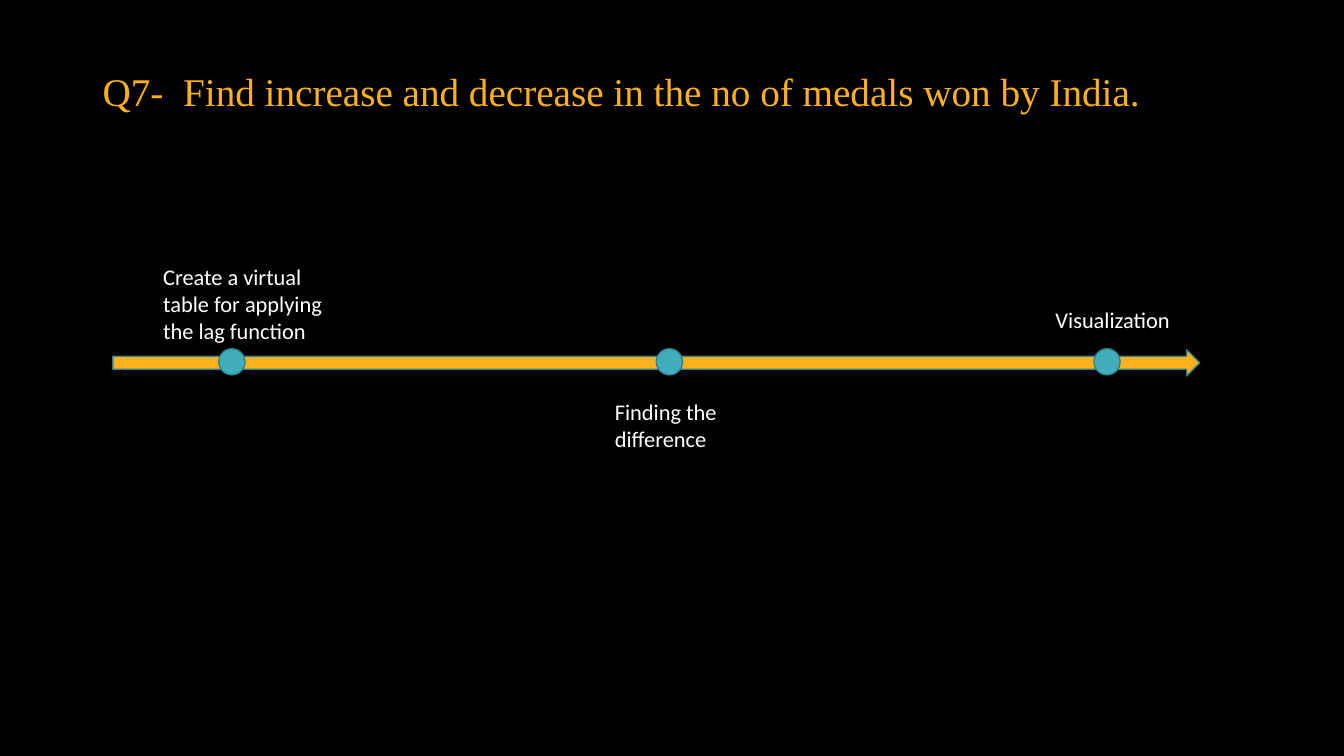
from pptx import Presentation
from pptx.dml.color import RGBColor
from pptx.enum.shapes import MSO_SHAPE
from pptx.enum.text import MSO_ANCHOR
from pptx.util import Inches, Pt

ARROW = MSO_SHAPE.RIGHT_ARROW
OVAL = MSO_SHAPE.OVAL
TOP = MSO_ANCHOR.TOP

BLACK = RGBColor(0x00, 0x00, 0x00)
WHITE = RGBColor(0xFF, 0xFF, 0xFF)
AMBER = RGBColor(0xFC, 0xB1, 0x1C)
TEAL = RGBColor(0x41, 0xAE, 0xBD)
DARK_TEAL = RGBColor(0x30, 0x81, 0x8C)

TITLE = "Q7-  Find increase and decrease in the no of medals won by India."
STEPS = [
    ("Create a virtual table for applying the lag function", (1.52, 2.56, 1.82, 0.91)),
    ("Finding the difference", (6, 3.9, 1.29, 0.64)),
    ("Visualization", (10.37, 2.99, 1.82, 0.37)),
]
TITLE_BOX = (0.92, 0.4, 11.5, 1.45)
TIMELINE_BOX = (1.12, 3.47, 10.78, 0.26)
MARKER_LEFT, MARKER_TOP, MARKER_SIZE, MARKER_STEP = 2.17, 3.46, 0.26, 4.34


def add_text(slide, text, box, font_name, size, color):
    shape = slide.shapes.add_textbox(*map(Inches, box))
    frame = shape.text_frame
    frame.word_wrap = True
    frame.vertical_anchor = TOP
    frame.text = text
    font = frame.paragraphs[0].runs[0].font
    font.name = font_name
    font.size = Pt(size)
    font.color.rgb = color
    return frame


def add_outlined(slide, kind, box, fill):
    shape = slide.shapes.add_shape(kind, *map(Inches, box))
    shape.shadow.inherit = False
    shape.fill.solid()
    shape.fill.fore_color.rgb = fill
    shape.line.color.rgb = DARK_TEAL
    shape.line.width = Pt(1)


def main():
    presentation = Presentation()
    presentation.slide_width = Inches(13.33)
    presentation.slide_height = Inches(7.5)
    slide = presentation.slides.add_slide(presentation.slide_layouts[6])
    slide.background.fill.solid()
    slide.background.fill.fore_color.rgb = BLACK

    title = add_text(slide, TITLE, TITLE_BOX, "Times New Roman", 28, AMBER)
    title.margin_top = Inches(0.32)
    title.paragraphs[0].line_spacing = 0.9

    add_outlined(slide, ARROW, TIMELINE_BOX, AMBER)
    for index, (label, label_box) in enumerate(STEPS):
        left = MARKER_LEFT + index * MARKER_STEP
        add_outlined(slide, OVAL, (left, MARKER_TOP, MARKER_SIZE, MARKER_SIZE), TEAL)
        add_text(slide, label, label_box, "Calibri", 16, WHITE)

    presentation.save("out.pptx")


if __name__ == "__main__":
    main()
